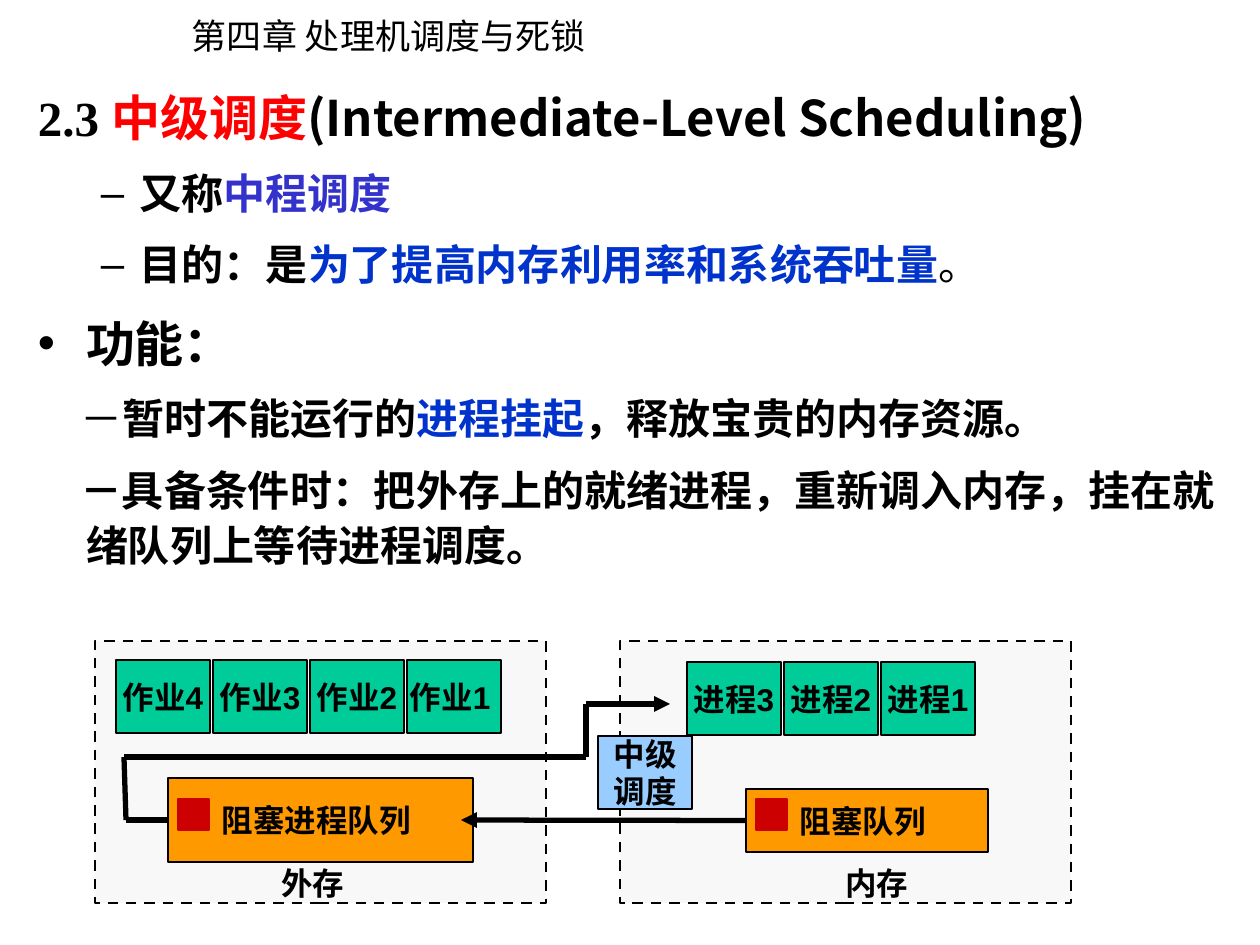
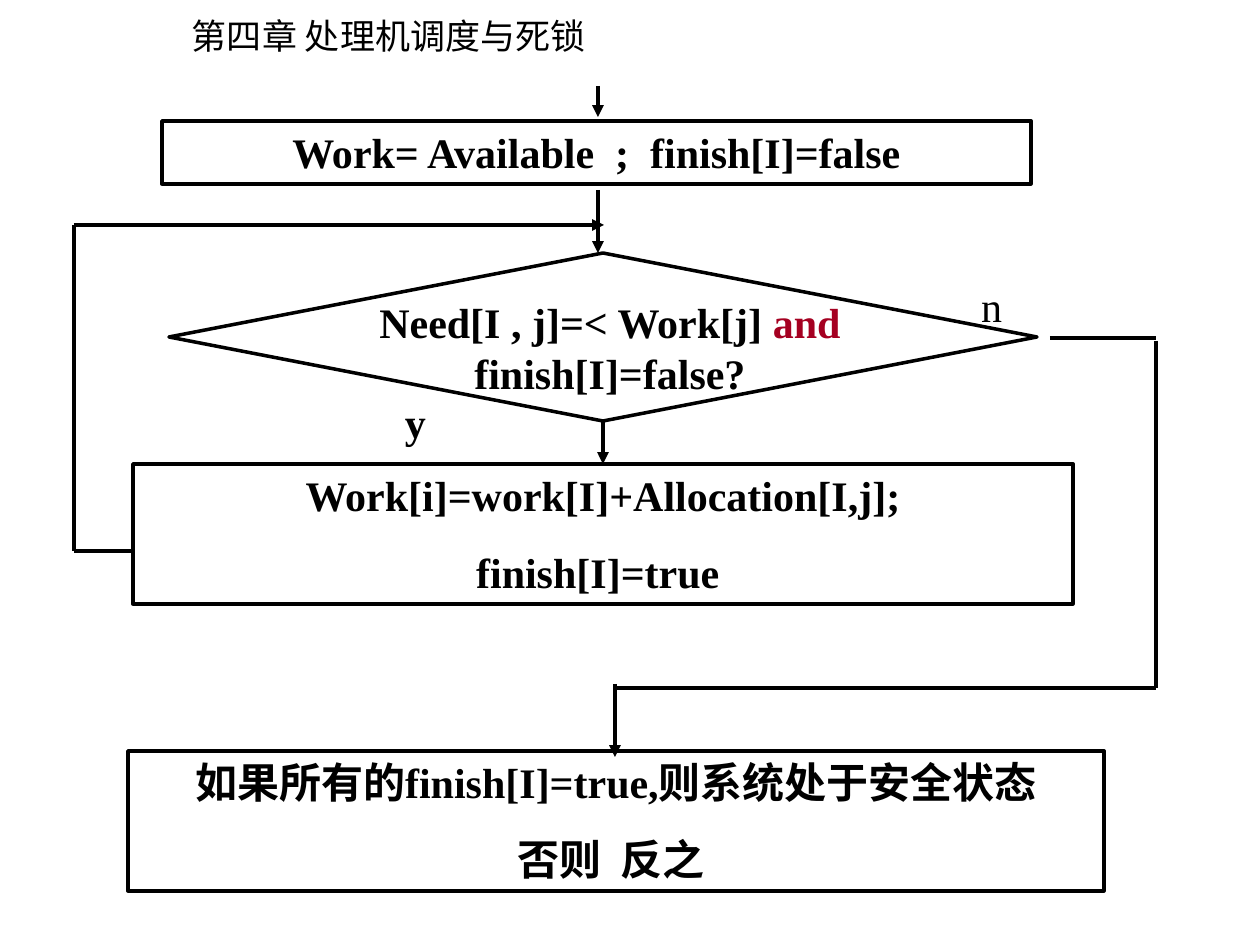
from lxml import etree
from pptx import Presentation
from pptx.dml.color import RGBColor
from pptx.enum import dml, shapes, text
from pptx.oxml import ns
from pptx.util import Pt

PX = 914400 / 126
SANS, TIMES, ARIAL = "Noto Sans CJK SC", "Times New Roman", "Arial"
BLACK, RED, BLUE, INDIGO = "000000", "FF0000", "0033CC", "3333CC"
GREEN, ORANGE, SKY, PALE = "00CC99", "FF9900", "99CCFF", "F8F8F8"
BRICK, WINE = "CC0000", "A50021"
MID, TOP = text.MSO_ANCHOR.MIDDLE, text.MSO_ANCHOR.TOP
LEFT, CENTER = text.PP_ALIGN.LEFT, text.PP_ALIGN.CENTER
RECT, ROMB = shapes.MSO_SHAPE.RECTANGLE, shapes.MSO_SHAPE.FLOWCHART_DECISION


def px(n):
    return round(n * PX)


def rgb(code):
    return RGBColor.from_string(code)


def sub(parent, tag, **attrs):
    return etree.SubElement(parent, ns.qn(tag), attrs)


def put(shape, *lines, size=24, font=TIMES, east=SANS, color=BLACK, bold=True,
        align=CENTER, anchor=TOP, pad=(13, 6, 13, 6), wrap=True, gap=0):
    """Each line is a string or a list of (text, format changes) pairs."""
    frame = shape.text_frame
    frame.auto_size = text.MSO_AUTO_SIZE.NONE
    frame.word_wrap, frame.vertical_anchor = wrap, anchor
    (frame.margin_left, frame.margin_top,
     frame.margin_right, frame.margin_bottom) = map(px, pad)
    for i, line in enumerate(lines):
        par = frame.add_paragraph() if i else frame.paragraphs[0]
        par.alignment = align
        par.space_before = Pt(gap if i else 0)
        for words, change in [(line, {})] if isinstance(line, str) else line:
            look = dict(size=size, font=font, color=color, bold=bold) | change
            run = par.add_run()
            run.text = words
            run.font.size, run.font.bold = Pt(look["size"]), look["bold"]
            run.font.name = look["font"]
            run.font.color.rgb = rgb(look["color"])
            sub(run.font._element, "a:ea", typeface=east)
    return shape


def move(shape, x, y, w, h):
    shape.left, shape.top, shape.width, shape.height = map(px, (x, y, w, h))
    return shape


def box(slide, x, y, w, h, fill=None, line=BLACK, width=0.75, kind=RECT):
    shape = slide.shapes.add_shape(kind, *map(px, (x, y, w, h)))
    shape.shadow.inherit = False
    if fill:
        shape.fill.solid()
        shape.fill.fore_color.rgb = rgb(fill)
    else:
        shape.fill.background()
    shape.line.color.rgb = rgb(line)
    shape.line.width = Pt(width)
    return shape


def note(slide, x, y, w, h, *lines, **look):
    area = slide.shapes.add_textbox(*map(px, (x, y, w, h)))
    return put(area, *lines, **look)


def tag(shape, *lines, shift=0):
    """Centre a diagram label, moved sideways by shift."""
    pad = (max(0, 2 * shift), 0, max(0, -2 * shift), 0)
    return put(shape, *lines, size=18, font=ARIAL, anchor=MID, pad=pad, wrap=False)


def route(slide, *points, width=2.25, arrow=True):
    """Draw straight connectors through the points; return them in order."""
    legs = []
    for start, end in zip(points, points[1:]):
        leg = slide.shapes.add_connector(
            shapes.MSO_CONNECTOR.STRAIGHT, *map(px, start + end))
        leg.line.color.rgb = rgb(BLACK)
        leg.line.width = Pt(width)
        legs.append(leg)
    if arrow:
        sub(legs[-1].line._get_or_add_ln(), "a:tailEnd", type="triangle")
    for leg in legs:
        sub(leg._element.spPr, "a:effectLst")
    return legs


def page(deck, layout):
    slide = deck.slides.add_slide(deck.slide_layouts[layout])
    put(move(slide.shapes.title, 179, 8, 426, 55), "第四章 处理机调度与死锁",
        size=20, font="Noto Sans CJK JP", east="Noto Sans CJK JP",
        bold=False, align=LEFT)
    return slide


def points(slide, x, y, w, h):
    blue = dict(color=BLUE)
    body = put(
        move(slide.placeholders[1], x, y, w, h),
        [("2.3 ", dict(size=28, font=TIMES)),
         ("中级", dict(size=28, font=TIMES, color=RED)),
         ("调度", dict(size=28, color=RED)),
         ("(Intermediate-Level Scheduling)", dict(size=28))],
        [("又称", {}), ("中程调度", dict(color=INDIGO))],
        [("目的：是", {}), ("为了提高内存利用率和系统吞吐量", blue),
         ("。", dict(bold=False))],
        [("功能：", dict(size=28))],
        [("－", dict(bold=False)), ("暂时不能运行的", {}), ("进程挂起", blue),
         ("，释放宝贵的内存资源。", {})],
        "－具备条件时：把外存上的就绪进程，重新调入内存，挂在就绪队列上等待进程调度。",
        font=SANS, align=LEFT, gap=9)
    head, dash, dot, plain = (48, -48, ""), (102, -39, "–"), (48, -48, "•"), (48, -6, "")
    styles = [head, dash, dash, dot, plain, plain]
    for par, (left, first, mark) in zip(body.text_frame.paragraphs, styles):
        par.line_spacing = 1.1
        if mark == "•":
            par.space_before = Pt(10.5)
        if mark == "–":
            par.level = 1
        props = par._p.get_or_add_pPr()
        props.set("marL", str(px(left)))
        props.set("indent", str(px(first)))
        if mark:
            sub(sub(props, "a:buClr"), "a:srgbClr", val=BLACK)
            sub(props, "a:buChar", char=mark)
        else:
            sub(props, "a:buNone")


def store(slide, x, y, name, mid, jobs, cell, queue, label):
    """One dashed memory area: a row of jobs, a queue and its name."""
    area = box(slide, x, y, 451, 262, PALE, width=1.5)
    area.line.dash_style = dml.MSO_LINE.DASH
    note_box = slide.shapes.add_textbox(*map(px, (x + mid - 100, y + 221, 200, 42)))
    tag(note_box, name)
    left, top, w, h = queue
    line = tag(box(slide, x + left, y + top, w, h, ORANGE), label, shift=-4)
    for i, job in enumerate(jobs):
        shift = -4 if job == "作业1" else 0
        tag(box(slide, x + cell[0] + 97 * i, y + cell[1], 94, 73, GREEN),
            job, shift=shift)
    box(slide, x + left + 10, y + 158, 31, 31, BRICK, BRICK)
    return line


def swap(slide, x, y):
    """Moves between the disk and main memory."""
    disk = store(slide, x, y, "外存", 218, [f"作业{n}" for n in (4, 3, 2, 1)],
                 (21, 19), (73, 137, 305, 84), "阻塞进程队列")
    ram = store(slide, x + 525, y, "内存", 257, [f"进程{n}" for n in (3, 2, 1)],
                (67, 21), (126, 148, 242, 63), "阻塞队列")
    back = route(slide, (x + 73, y + 179), (x + 31, y + 179), (x + 29, y + 116),
                 (x + 491, y + 116), (x + 491, y + 63), (x + 575, y + 63), width=3)
    back[0].begin_connect(disk, 1)
    out = route(slide, (x + 651, y + 179), (x + 366, y + 179), width=3)
    out[0].begin_connect(ram, 1)
    tag(box(slide, x + 503, y + 95, 94, 73, SKY), "中级", "调度")


def flow(slide, x, y):
    """Safety check flow chart."""
    def step(left, top, w, h, *lines):
        return put(box(slide, x + left, y + top, w, h, width=2), *lines, gap=15)

    def link(*spots, **look):
        return route(slide, *[(x + a, y + b) for a, b in spots], **look)

    step(88, 36, 869, 63, "Work= Available  ;  finish[I]=false")
    test = box(slide, x + 95, y + 168, 868, 168, width=2, kind=ROMB)
    note(slide, x + 254, y + 206, 564, 113,
         [("Need[I , j]=< Work[j] ", {}), ("and", dict(color=WINE)),
          (" finish[I]=false?", {})])
    free = step(59, 379, 940, 140, "Work[i]=work[I]+Allocation[I,j];", "finish[I]=true ")
    step(54, 666, 976, 140, "如果所有的finish[I]=true,则系统处于安全状态", "否则  反之 ")
    note(slide, x + 894, y + 190, 59, 63, "n", bold=False, align=LEFT)
    note(slide, x + 318, y + 306, 59, 63, "y", align=LEFT)

    link((524, 1), (524, 32))
    link((524, 105), (524, 168))
    yes, = link((529, 336), (529, 379))
    yes.begin_connect(test, 2)
    yes.end_connect(free, 0)
    link((59, 466), (0, 466), (0, 140), (530, 140))
    link((976, 253), (1082, 253), arrow=False)
    link((1082, 256), (1082, 603), (541, 603), arrow=False)
    link((541, 599), (541, 672))


def main():
    deck = Presentation()
    deck.slide_width, deck.slide_height = px(1260), px(945)
    level = page(deck, 1)
    points(level, 25, 76, 1235, 535)
    swap(level, 95, 641)
    flow(page(deck, 5), 74, 85)
    deck.save("out.pptx")


if __name__ == "__main__":
    main()
